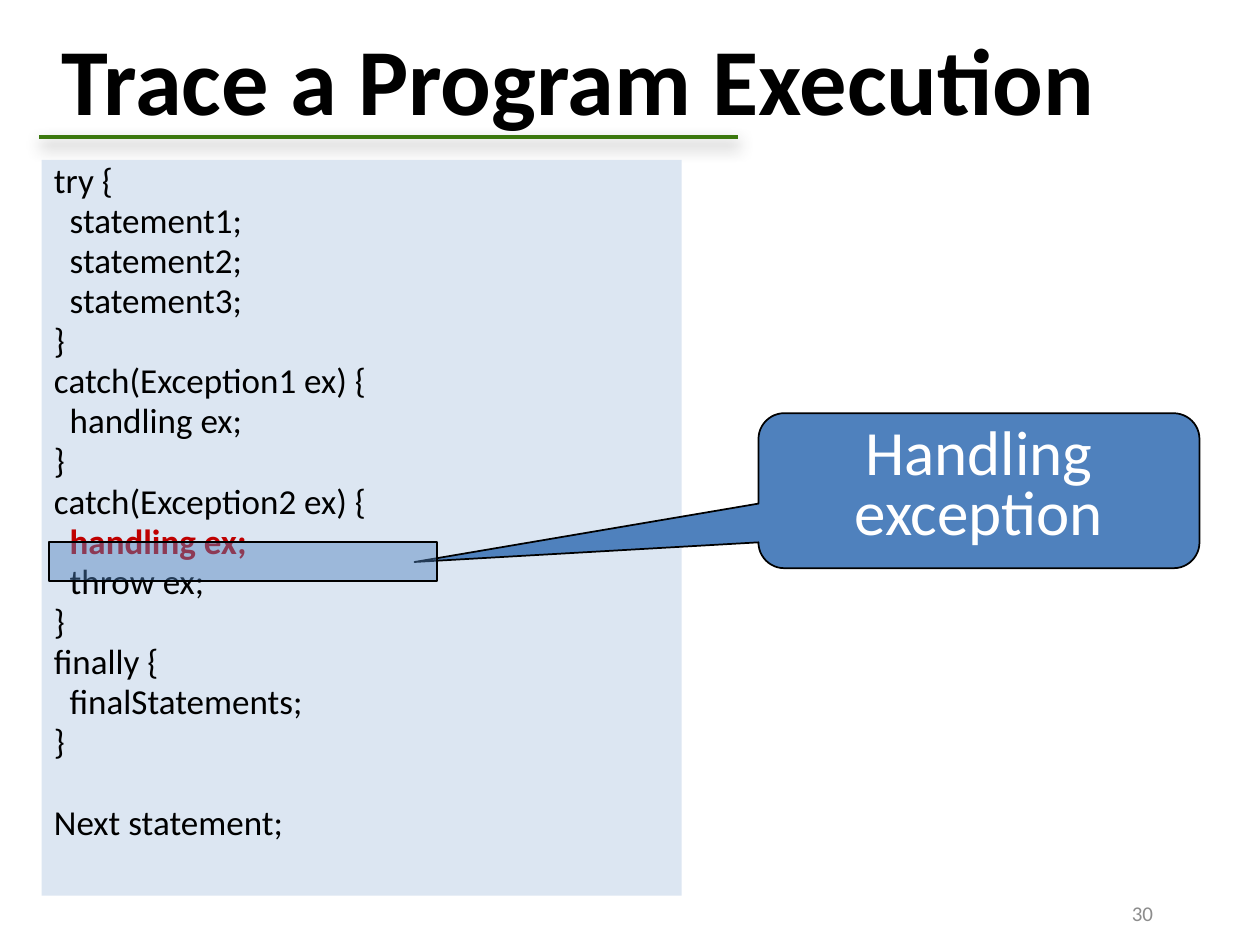
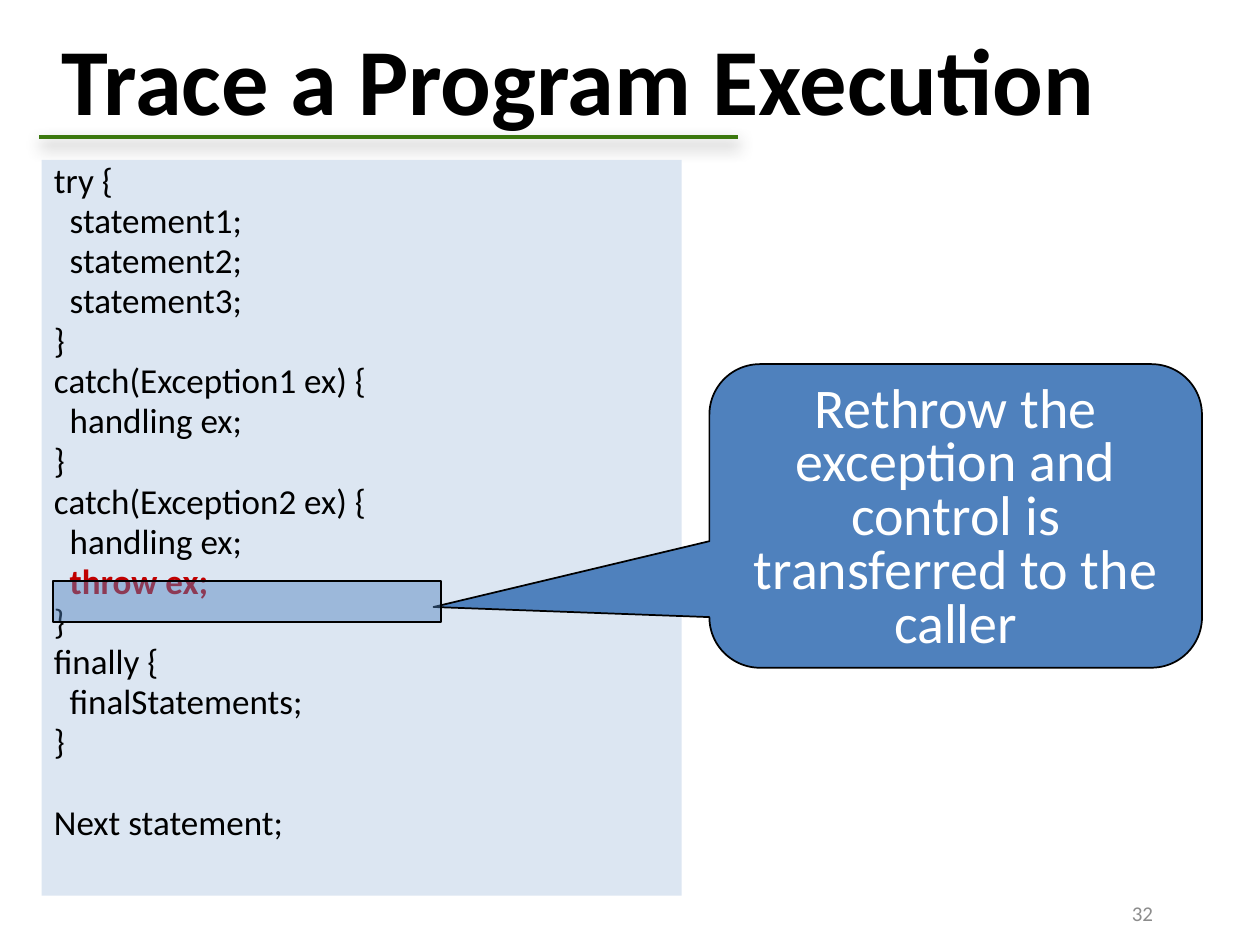
from dataclasses import dataclass

from lxml.etree import SubElement
from pptx import Presentation
from pptx.dml.color import RGBColor
from pptx.enum.shapes import MSO_CONNECTOR, MSO_SHAPE
from pptx.enum.text import MSO_ANCHOR, MSO_AUTO_SIZE, PP_ALIGN
from pptx.oxml.ns import qn
from pptx.util import Inches, Pt

TITLE = "Trace a Program Execution"

# (indent level, blank lines before, text)
CODE = [
    (0, 0, "try {"),
    (1, 0, "statement1;"),
    (1, 0, "statement2;"),
    (1, 0, "statement3;"),
    (0, 0, "}"),
    (0, 0, "catch(Exception1 ex) {"),
    (1, 0, "handling ex;"),
    (0, 0, "}"),
    (0, 0, "catch(Exception2 ex) {"),
    (1, 0, "handling ex;"),
    (1, 0, "throw ex;"),
    (0, 0, "}"),
    (0, 0, "finally {"),
    (1, 0, "finalStatements;"),
    (0, 0, "}"),
    (0, 1, "Next statement;"),
]

# Boxes are left, top, width, height in percent of the slide.
STEPS = [
    {
        "number": "30",
        "active_line": 9,
        "marker": (3.9, 57.33, 30.8, 4.13),
        "callout": (60.2, 43.73, 35, 16.4),
        "pointer": (-1.28, 0.46),
        "note": "Handling exception",
        "note_size": 36,
    },
    {
        "number": "32",
        "active_line": 10,
        "marker": (4.2, 61.47, 30.8, 4.4),
        "callout": (56.3, 38.53, 39.1, 32.13),
        "pointer": (-1.06, 0.3),
        "note": "Rethrow the exception and control is transferred to the caller",
        "note_size": 32,
    },
]

TITLE_BOX = (3.9, 4.4, 85, 7.73)
RULE_LINE = (3.1, 14.53, 55.5, 0)
CODE_BOX = (3.3, 16.93, 50.8, 77.87)
NUMBER_BOX = (71.7, 93.33, 20.8, 6.67)


@dataclass(frozen=True)
class Theme:
    font: str = "Calibri"
    ink: str = "000000"
    white: str = "FFFFFF"
    rule: str = "3B780E"
    panel: str = "DCE6F2"
    accent: str = "4F81BD"
    active: str = "C00000"
    muted: str = "8C8C8C"
    title_size: int = 54
    code_size: int = 20
    number_size: int = 12
    outline: float = 1
    rule_width: float = 2.5
    marker_alpha: int = 45
    line_spacing: float = 0.8
    space_before: float = 0.185   # share of the type size
    line_pitch: float = 1.16      # share of the type size
    hanging: float = 0.38
    code_indent: float = 0.125


THEME = Theme()

prs = Presentation()
prs.slide_width, prs.slide_height = Inches(10), Inches(7.5)


def place(box):
    """Turn a box in percent of the slide into slide lengths."""
    sides = (prs.slide_width, prs.slide_height) * 2
    return [round(side * share / 100) for side, share in zip(sides, box)]


def set_all(obj, **values):
    for name, value in values.items():
        setattr(obj, name, value)


def add_run(p, text, size, color, bold=False):
    r = p.add_run()
    r.text = text
    set_all(r.font, name=THEME.font, size=Pt(size), bold=bold)
    r.font.color.rgb = RGBColor.from_string(color)


def space_lines(p, size, blank_lines=0):
    before = size * (THEME.space_before + blank_lines * THEME.line_pitch)
    set_all(p, line_spacing=THEME.line_spacing, space_before=Pt(before))


def add_box(slide, preset, box, fill, outlined=True):
    sp = slide.shapes.add_shape(preset, *place(box))
    sp.shadow.inherit = False
    sp.fill.solid()
    sp.fill.fore_color.rgb = RGBColor.from_string(fill)
    if outlined:
        sp.line.color.rgb = RGBColor.from_string(THEME.ink)
        sp.line.width = Pt(THEME.outline)
    else:
        sp.line.fill.background()
    set_all(sp.text_frame, word_wrap=True, vertical_anchor=MSO_ANCHOR.TOP)
    return sp


def add_title(slide):
    sp = slide.shapes.title
    left, top, width, height = place(TITLE_BOX)
    set_all(sp, left=left, top=top, width=width, height=height)
    tf = sp.text_frame
    set_all(tf, word_wrap=True, auto_size=MSO_AUTO_SIZE.NONE,
            vertical_anchor=MSO_ANCHOR.MIDDLE)
    p = tf.paragraphs[0]
    p.alignment = PP_ALIGN.LEFT
    add_run(p, TITLE, THEME.title_size, THEME.ink, bold=True)


def add_rule(slide):
    """Draw the line under the title with its soft shadow."""
    x, y, width, height = place(RULE_LINE)
    line = slide.shapes.add_connector(
        MSO_CONNECTOR.STRAIGHT, x, y, x + width, y + height)
    line.line.color.rgb = RGBColor.from_string(THEME.rule)
    line.line.width = Pt(THEME.rule_width)
    effects = SubElement(line._element.spPr, qn("a:effectLst"))
    shadow = SubElement(effects, qn("a:outerShdw"), blurRad=str(Pt(9)),
                        dist=str(Pt(4)), dir="5400000", rotWithShape="0")
    color = SubElement(shadow, qn("a:srgbClr"), val=THEME.ink)
    SubElement(color, qn("a:alpha"), val="43000")


def add_code(slide, active_line):
    tf = add_box(slide, MSO_SHAPE.RECTANGLE, CODE_BOX, THEME.panel,
                 outlined=False).text_frame
    for i, (level, blank_lines, text) in enumerate(CODE):
        p = tf.add_paragraph() if i else tf.paragraphs[0]
        p.alignment = PP_ALIGN.LEFT
        space_lines(p, THEME.code_size, blank_lines)
        pPr = p._p.get_or_add_pPr()
        pPr.set("marL", str(Inches(THEME.hanging)))
        pPr.set("indent", str(Inches(level * THEME.code_indent - THEME.hanging)))
        active = i == active_line
        add_run(p, text, THEME.code_size,
                THEME.active if active else THEME.ink, bold=active)


def add_number(slide, number):
    tf = slide.shapes.add_textbox(*place(NUMBER_BOX)).text_frame
    set_all(tf, word_wrap=True, vertical_anchor=MSO_ANCHOR.MIDDLE)
    p = tf.paragraphs[0]
    p.alignment = PP_ALIGN.RIGHT
    add_run(p, number, THEME.number_size, THEME.muted)


def add_callout(slide, step):
    sp = add_box(slide, MSO_SHAPE.ROUNDED_RECTANGULAR_CALLOUT,
                 step["callout"], THEME.accent)
    for i, offset in enumerate(step["pointer"]):
        sp.adjustments[i] = offset
    p = sp.text_frame.paragraphs[0]
    p.alignment = PP_ALIGN.CENTER
    space_lines(p, step["note_size"])
    add_run(p, step["note"], step["note_size"], THEME.white)


def add_marker(slide, box):
    """Lay a see-through bar over the running line of code."""
    sp = add_box(slide, MSO_SHAPE.RECTANGLE, box, THEME.accent)
    color = sp._element.spPr.find(qn("a:solidFill")).find(qn("a:srgbClr"))
    SubElement(color, qn("a:alpha"), val=str(THEME.marker_alpha * 1000))


def main():
    title_only = prs.slide_layouts[5]
    for step in STEPS:
        slide = prs.slides.add_slide(title_only)
        add_rule(slide)
        add_code(slide, step["active_line"])
        add_number(slide, step["number"])
        add_title(slide)
        add_callout(slide, step)
        add_marker(slide, step["marker"])
    prs.save("out.pptx")


if __name__ == "__main__":
    main()
